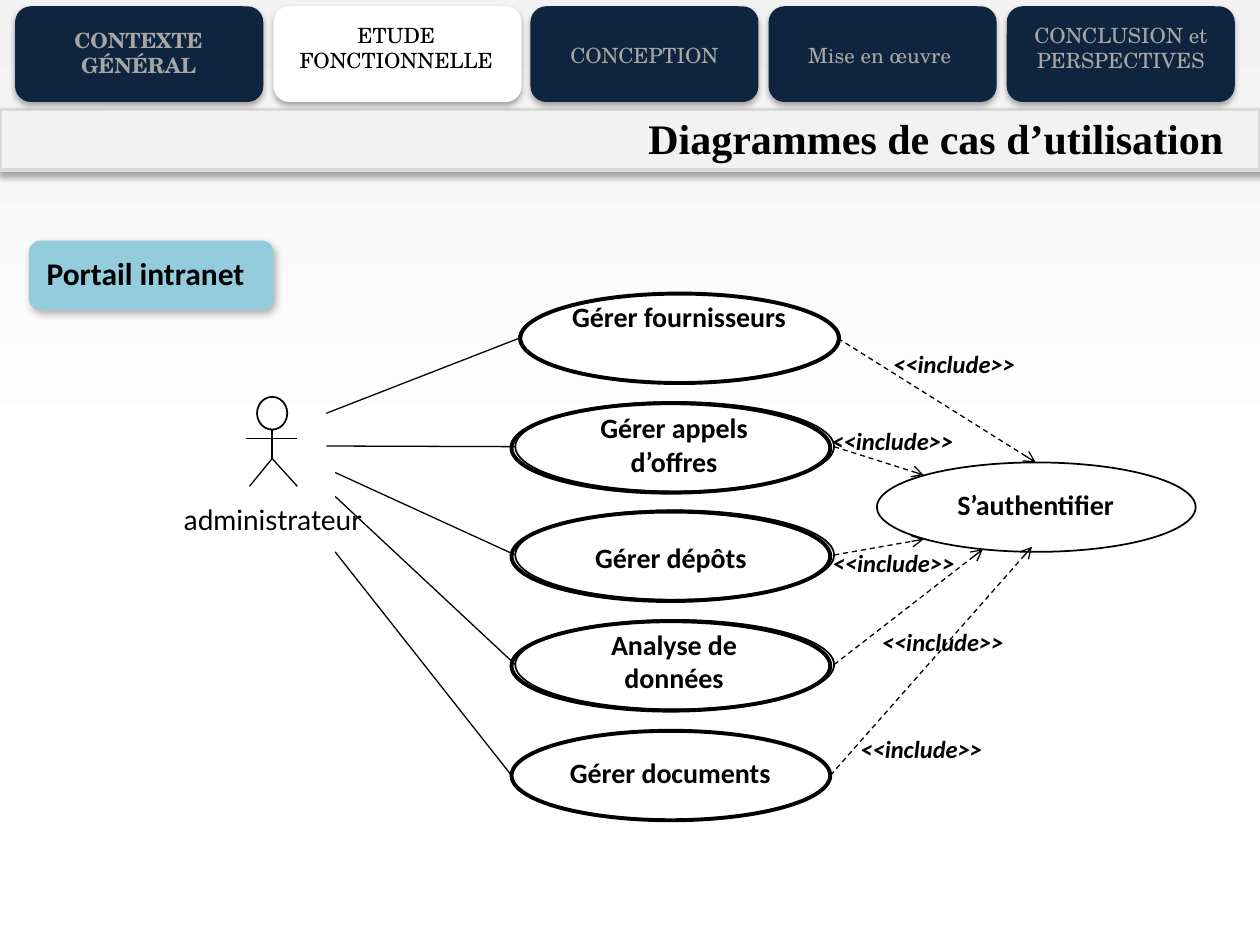
from dataclasses import dataclass

import pptx
import pptx.dml.color
import pptx.enum.dml
import pptx.enum.shapes
import pptx.enum.text
import pptx.oxml.ns
import pptx.util
from lxml import etree

Inches = pptx.util.Inches
Pt = pptx.util.Pt
qn = pptx.oxml.ns.qn
SHAPE = pptx.enum.shapes.MSO_SHAPE
ALIGN = pptx.enum.text.PP_ALIGN


@dataclass(frozen=True)
class Theme:
    black: str = "000000"
    white: str = "FFFFFF"
    navy: str = "0F243E"
    muted: str = "A6A6A6"
    pale: str = "F2F2F2"
    border: str = "D9D9D9"
    aqua: str = "93CDDD"
    thin: float = 0.75
    normal: float = 1
    thick: float = 2.25


THEME = Theme()
# Font formats
TITLE = dict(name="Times New Roman", size=Pt(24), bold=True)
SECTION = dict(name="Calibri", size=Pt(18), bold=True)
CASE = dict(name="Calibri", size=Pt(16), bold=True)
ACTOR = dict(name="Lato", size=Pt(16))
INCLUDE = dict(name="Calibri", size=Pt(14), bold=True, italic=True)
TAB = dict(name="TeX Gyre Schola", size=Pt(12))
# Shadows: opacity in percent, blur and distance in points, angle in degrees
SOFT_SHADOW = (32, 3.5, 2.2, 90)
SLANTED_SHADOW = (30, 4.5, 2.6, 53)

OVAL = (2.53, 0.71)
# label, label place (left, top, width, height), oval corner, outline corner,
# actor end of the line, arrow tip, corner of the include label
USE_CASES = [
    ("Gérer fournisseurs", (4.44, 2.33, 1.9, 0.64), (4.12, 2.33), (4.13, 2.33),
     (2.59, 3.28), (8.22, 3.67), (6.99, 2.72)),
    ("Gérer appels d’offres", (4.4, 3.21, 1.9, 0.64), (4.09, 3.19), (4.06, 3.2),
     (2.59, 3.54), (7.33, 3.77), (6.5, 3.33)),
    ("Gérer dépôts ", (4.4, 4.24, 1.9, 0.37), (4.09, 4.05), (4.06, 4.06),
     (2.66, 3.75), (7.33, 4.28), (6.51, 4.3)),
    ("Analyse de données", (4.4, 4.93, 1.9, 0.64), (4.09, 4.92), (4.06, 4.93),
     (2.66, 3.94), (7.8, 4.36), (6.9, 4.93)),
    ("Gérer documents", (4.37, 5.95, 1.9, 0.37), (4.06, 5.8), (4.06, 5.8),
     (2.66, 4.38), (8.19, 4.34), (6.73, 5.78)),
]
# label, tab left and width, label place, active, bold
TABS = [
    ("CONTEXTE GÉNÉRAL", 0.12, 1.97, (0.35, 0.17, 1.5, 0.51), False, True),
    ("ETUDE FONCTIONNELLE", 2.17, 1.97, (2.24, 0.13, 1.81, 0.51), True, False),
    ("CONCEPTION", 4.21, 1.81, (4.21, 0.29, 1.81, 0.3), False, False),
    ("Mise en œuvre ", 6.1, 1.81, (6.1, 0.29, 1.81, 0.3), False, False),
    ("CONCLUSION et PERSPECTIVES", 7.99, 1.81, (7.99, 0.13, 1.81, 0.51), False, False),
]


def rgb(color):
    return pptx.dml.color.RGBColor.from_string(color)


def apply(target, values):
    for name, value in values.items():
        setattr(target, name, value)


def write(box, text, font, color=THEME.black, align=ALIGN.CENTER):
    frame = box.text_frame
    apply(frame, dict(word_wrap=True,
                      auto_size=pptx.enum.text.MSO_AUTO_SIZE.SHAPE_TO_FIT_TEXT,
                      vertical_anchor=pptx.enum.text.MSO_ANCHOR.TOP))
    para = frame.paragraphs[0]
    para.alignment = align
    span = para.add_run()
    span.text = text
    apply(span.font, font)
    span.font.color.rgb = rgb(color)


def add_label(shapes, place, text, font, color=THEME.black, align=ALIGN.CENTER):
    box = shapes.add_textbox(*map(Inches, place))
    write(box, text, font, color, align)


def add_figure(shapes, kind, place, fill=None, line=None, width=THEME.normal, shadow=None):
    """Add a preset shape; no fill, line or shadow unless given."""
    figure = shapes.add_shape(kind, *map(Inches, place))
    figure.shadow.inherit = False
    if fill:
        figure.fill.solid()
        figure.fill.fore_color.rgb = rgb(fill)
    else:
        figure.fill.background()
    if line:
        figure.line.color.rgb = rgb(line)
        figure.line.width = Pt(width)
    else:
        figure.line.fill.background()
    if shadow:
        add_shadow(figure, *shadow)


def add_shadow(figure, opacity, blur, distance, angle):
    effects = figure.element.spPr.find(qn("a:effectLst"))
    outer = etree.SubElement(effects, qn("a:outerShdw"), blurRad=str(Pt(blur)),
                             dist=str(Pt(distance)), dir=str(angle * 60000),
                             rotWithShape="0")
    color = etree.SubElement(outer, qn("a:srgbClr"), val=THEME.black)
    etree.SubElement(color, qn("a:alpha"), val=str(opacity * 1000))


def add_line(shapes, start, end, arrow=False):
    """Add a thin line, or a dashed one with an open arrowhead at its end."""
    line = shapes.add_connector(pptx.enum.shapes.MSO_CONNECTOR.STRAIGHT,
                                *map(Inches, (*start, *end)))
    line.line.color.rgb = rgb(THEME.black)
    line.line.width = Pt(THEME.thin)
    properties = line.element.spPr
    if arrow:
        line.line.dash_style = pptx.enum.dml.MSO_LINE.DASH
        etree.SubElement(properties.find(qn("a:ln")), qn("a:tailEnd"), type="arrow")
    etree.SubElement(properties, qn("a:effectLst"))


def add_background(page):
    fill = page.background.fill
    fill.gradient()
    fill.gradient_angle = 270
    for stop, color, position in zip(fill.gradient_stops, (THEME.pale, THEME.white), (0, 0.5)):
        stop.color.rgb = rgb(color)
        stop.position = position


def add_actor(shapes):
    figure = shapes.add_group_shape().shapes
    add_figure(figure, SHAPE.OVAL, (2.04, 3.15, 0.24, 0.26), THEME.white, THEME.black)
    neck, hip = (2.16, 3.41), (2.16, 3.64)
    for start, end in [(neck, hip), (hip, (2.36, 3.86)), (hip, (1.98, 3.86)),
                       ((1.95, 3.48), (2.36, 3.48))]:
        add_line(figure, start, end)
    add_label(shapes, (1.34, 3.94, 1.65, 0.37), "administrateur", ACTOR)


def add_use_case(shapes, label, place, corner, outline, actor_end, tip, include):
    left, top = corner
    width, height = OVAL
    middle = top + height / 2
    add_figure(shapes, SHAPE.OVAL, (*corner, *OVAL), THEME.white, THEME.black)
    add_figure(shapes, SHAPE.OVAL, (*outline, *OVAL), line=THEME.black, width=THEME.thick)
    add_label(shapes, place, label, CASE)
    add_line(shapes, actor_end, (left, middle))
    add_line(shapes, (left + width, middle), tip, arrow=True)
    add_label(shapes, (*include, 1.72, 0.34), "<<include>>", INCLUDE, align=ALIGN.LEFT)


def add_tabs(shapes):
    bar = shapes.add_group_shape().shapes
    for label, left, width, place, active, bold in TABS:
        add_figure(bar, SHAPE.ROUNDED_RECTANGLE, (left, 0.05, width, 0.76),
                   THEME.white if active else THEME.navy, shadow=SOFT_SHADOW)
        add_label(bar, place, label, dict(TAB, bold=bold),
                  THEME.black if active else THEME.muted)


def add_title(page):
    """Fill the title placeholder and bring it in front of its band."""
    add_figure(page.shapes, SHAPE.RECTANGLE, (0, 0.87, 10, 0.48), THEME.pale,
               THEME.border, 2, SOFT_SHADOW)
    title = page.shapes.title
    apply(title, dict(left=Inches(2.8), top=Inches(0.84),
                      width=Inches(7.01), height=Inches(0.5)))
    write(title, "Diagrammes de cas d’utilisation", TITLE, align=ALIGN.RIGHT)
    title.element.getparent().append(title.element)


def main():
    deck = pptx.Presentation()
    apply(deck, dict(slide_width=Inches(10), slide_height=Inches(7.5)))
    page = deck.slides.add_slide(deck.slide_layouts.get_by_name("Title Only"))
    shapes = page.shapes
    add_background(page)
    add_actor(shapes)
    add_figure(shapes, SHAPE.OVAL, (6.96, 3.67, *OVAL), THEME.white, THEME.black)
    add_label(shapes, (7.27, 3.82, 1.9, 0.37), "S’authentifier", CASE)
    for use_case in USE_CASES:
        add_use_case(shapes, *use_case)
    add_title(page)
    add_tabs(shapes)
    add_figure(shapes, SHAPE.ROUNDED_RECTANGLE, (0.23, 1.91, 1.94, 0.55), THEME.aqua,
               shadow=SLANTED_SHADOW)
    add_label(shapes, (-0.2, 1.97, 2.71, 0.4), "Portail intranet", SECTION)
    deck.save("out.pptx")


if __name__ == "__main__":
    main()
